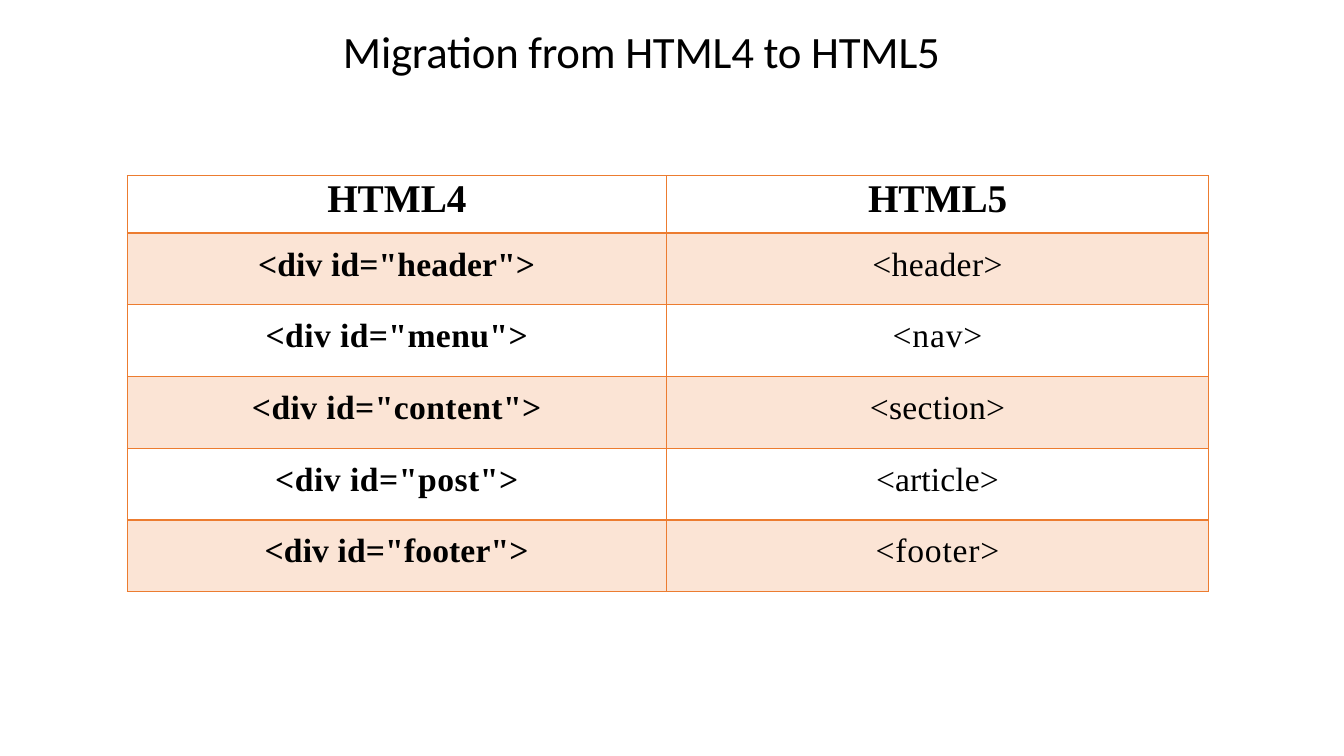
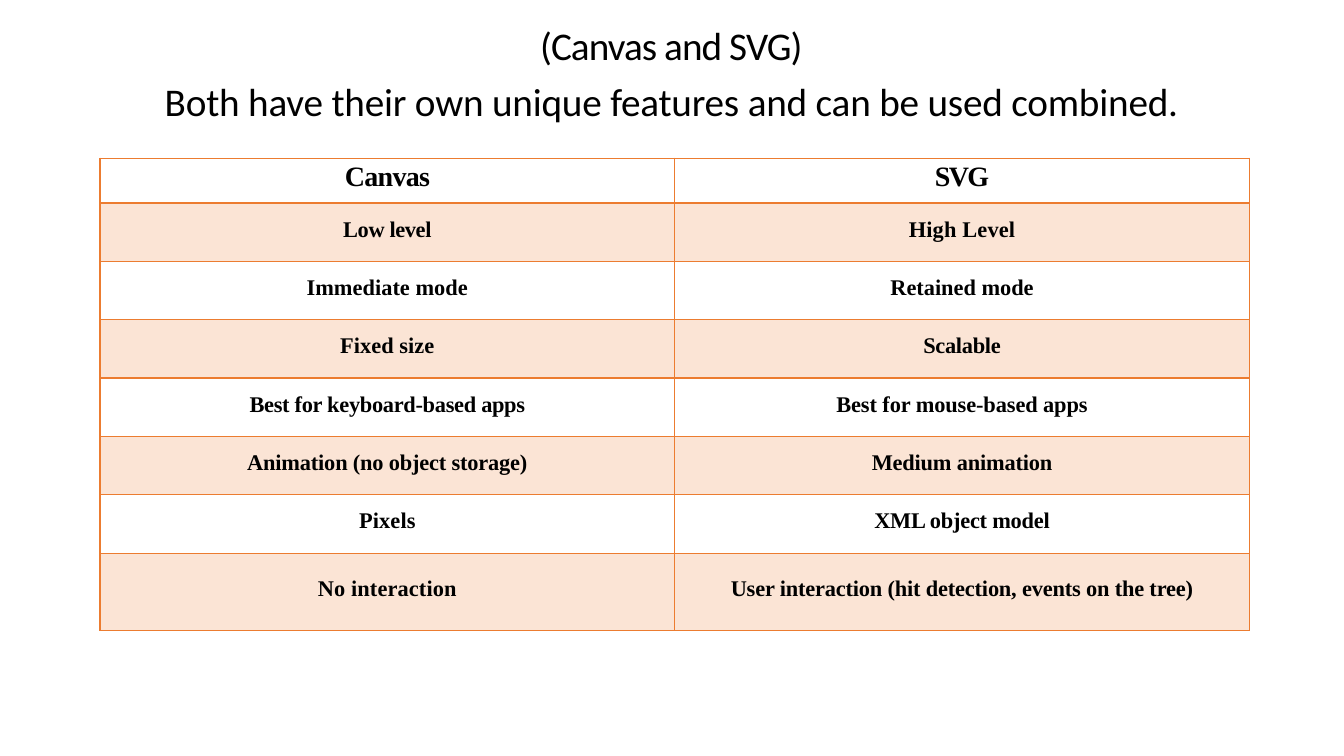
from dataclasses import dataclass

from pptx import Presentation
from pptx.dml.color import RGBColor
from pptx.enum.text import MSO_ANCHOR, MSO_AUTO_SIZE, PP_ALIGN
from pptx.oxml import parse_xml
from pptx.oxml.ns import nsdecls
from pptx.util import Pt


@dataclass(frozen=True)
class Theme:
    text: str = "000000"
    band: str = "FBE4D5"
    line: str = "EC7C30"
    title_font: str = "Calibri"
    table_font: str = "Times New Roman"
    thin: float = 1
    thick: float = 2.25


@dataclass(frozen=True)
class TableStyle:
    head_size: float
    body_size: float
    head_margin: float
    body_margin: float
    bold_columns: tuple


THEME = Theme()
MIGRATION = TableStyle(28, 24, 1.6, 9.4, (True, False))
COMPARISON = TableStyle(20, 16, 2.2, 10.1, (True, True))

TAG_ROWS = [
    [("HTML4", 0), ("HTML5", 0)],
    [('<div id="header">', 0.1), ("<header>", 0.3)],
    [('<div id="menu">', 0.3), ("<nav>", 0.6)],
    [('<div id="content">', 0.3), ("<section>", 0.2)],
    [('<div id="post">', 0.4), ("<article>", 0.1)],
    [('<div id="footer">', 0.1), ("<footer>", 0.6)],
]

GRAPHICS_ROWS = [
    [("Canvas", -0.5), ("SVG", -1.2)],
    [("Low level", -0.25), ("High Level", 0.15)],
    [("Immediate mode", 0.05), ("Retained mode", 0)],
    [("Fixed size", 0.05), ("Scalable", -0.2)],
    [("Best for keyboard-based apps", -0.2), ("Best for mouse-based apps", -0.05)],
    [("Animation (no object storage)", -0.1), ("Medium animation", -0.1)],
    [("Pixels", 0.1), ("XML object model", -0.15)],
    [("No interaction", 0.1), ("User interaction (hit detection, events on the tree)", -0.1)],
]


def write(p, text, spacing, font, size, align, bold=False):
    r = p.add_run()
    r.text = text
    r._r.get_or_add_rPr().set("spc", str(round(spacing * 100)))
    p.alignment = align
    p.font.name = font
    p.font.size = Pt(size)
    p.font.bold = bold
    p.font.color.rgb = RGBColor.from_string(THEME.text)


def set_margins(box, top):
    box.margin_left = box.margin_right = box.margin_bottom = 0
    box.margin_top = Pt(top)


def add_titled_slide(prs, box, lines, size, align, top=0):
    s = prs.slides.add_slide(prs.slide_layouts[5])
    title = s.shapes.title
    title.left, title.top, title.width, title.height = map(Pt, box)
    tf = title.text_frame
    tf.word_wrap = True
    tf.auto_size = MSO_AUTO_SIZE.NONE
    tf.vertical_anchor = MSO_ANCHOR.MIDDLE
    set_margins(tf, top)
    for i, (text, spacing) in enumerate(lines):
        p = tf.add_paragraph() if i else tf.paragraphs[0]
        p.space_before = Pt(6.7 if i else 0)
        write(p, text, spacing, THEME.title_font, size, align)
    return s


def set_borders(cell, widths):
    tc_pr = cell._tc.get_or_add_tcPr()
    for side, width in zip("LRTB", widths):
        tc_pr.append(parse_xml(
            f'<a:ln{side} {nsdecls("a")} w="{Pt(width)}"><a:solidFill>'
            f'<a:srgbClr val="{THEME.line}"/></a:solidFill></a:ln{side}>'))


def add_banded_table(s, left, top, widths, heights, rows, style):
    table = s.shapes.add_table(len(rows), len(widths), Pt(left), Pt(top),
                               Pt(sum(widths)), Pt(sum(heights))).table
    table.first_row = table.horz_banding = False
    for column, width in zip(table.columns, widths):
        column.width = Pt(width)
    for i, (row, height) in enumerate(zip(rows, heights)):
        table.rows[i].height = Pt(height)
        size = style.body_size if i else style.head_size
        margin = style.body_margin if i else style.head_margin
        margin += max(0, height - heights[1]) / 2
        above = THEME.thick if i == 1 else THEME.thin
        below = THEME.thin if i else THEME.thick
        for j, (text, spacing) in enumerate(row):
            cell = table.cell(i, j)
            set_margins(cell, margin)
            set_borders(cell, (THEME.thin, THEME.thin, above, below))
            if i % 2:
                cell.fill.solid()
                cell.fill.fore_color.rgb = RGBColor.from_string(THEME.band)
            else:
                cell.fill.background()
            write(cell.text_frame.paragraphs[0], text, spacing, THEME.table_font,
                  size, PP_ALIGN.CENTER, i == 0 or style.bold_columns[j])


def add_migration_slide(prs):
    s = add_titled_slide(prs, (245, 16.5, 490, 39.5),
                         [("Migration from HTML4 to HTML5", -0.2)], 32, PP_ALIGN.LEFT)
    add_banded_table(s, 91, 125.5, (385, 387.5), (41, *[51.25] * 5), TAG_ROWS, MIGRATION)


def add_comparison_slide(prs):
    lines = [("(Canvas and SVG)", -0.65),
             ("Both have their own unique features and can be used combined.", -0.15)]
    s = add_titled_slide(prs, (98.5, 6.5, 762, 83), lines, 28, PP_ALIGN.CENTER, 8)
    add_banded_table(s, 71.5, 113, (410.5, 410.5), (32, *[41.7] * 6, 55.5),
                     GRAPHICS_ROWS, COMPARISON)


def main():
    prs = Presentation()
    prs.slide_width, prs.slide_height = Pt(960), Pt(540)
    add_migration_slide(prs)
    add_comparison_slide(prs)
    prs.save("out.pptx")


if __name__ == "__main__":
    main()
